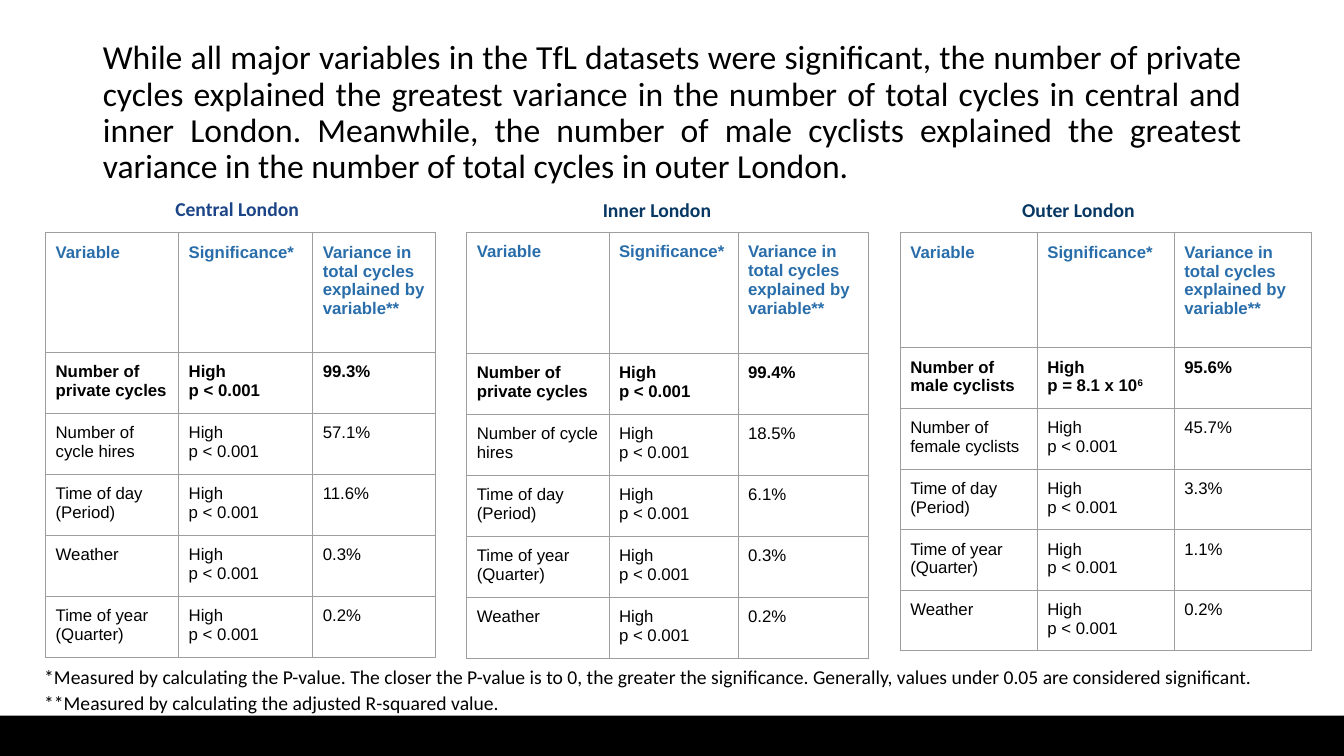
from lxml.etree import SubElement
from pptx import Presentation
from pptx.dml.color import RGBColor
from pptx.enum.shapes import MSO_SHAPE
from pptx.enum.text import MSO_ANCHOR, MSO_AUTO_SIZE, PP_ALIGN
from pptx.oxml.ns import qn
from pptx.util import Inches, Pt

W, H = Inches(13.33), Inches(7.5)
PAD = Inches(0.1)
HEADER = ("Variable", "Significance*",
          "Variance in total cycles explained by variable**")
LOW_P = "p < 0.001"
TIME_OF_DAY, TIME_OF_YEAR = "Time of day (Period)", "Time of year (Quarter)"

# Lengths are percentages of the slide's width and height.
# "rows" holds the heights of the header, the body rows and the last row.
REGIONS = [
    {"name": "Central London", "color": "1C4587", "label": (12.3, 24.67),
     "at": (3.39, 30.8), "cols": (9.9, 9.98, 9.15), "rows": (15.8, 8.07, 8.07),
     "data": [("Number of private cycles", LOW_P, "99.3%"),
              ("Number of cycle hires", LOW_P, "57.1%"),
              (TIME_OF_DAY, LOW_P, "11.6%"),
              ("Weather", LOW_P, "0.3%"),
              (TIME_OF_YEAR, LOW_P, "0.2%")]},
    {"name": "Inner London", "color": "073763", "label": (44.11, 24.8),
     "at": (34.73, 30.72), "cols": (10.58, 9.6, 9.68), "rows": (16.05, 8.07, 8.07),
     "data": [("Number of private cycles", LOW_P, "99.4%"),
              ("Number of cycle hires", LOW_P, "18.5%"),
              (TIME_OF_DAY, LOW_P, "6.1%"),
              (TIME_OF_YEAR, LOW_P, "0.3%"),
              ("Weather", LOW_P, "0.2%")]},
    {"name": "Outer London", "color": "073763", "label": (75.32, 24.8),
     "at": (66.98, 30.8), "cols": (10.2, 10.2, 10.2), "rows": (15.2, 8.03, 7.73),
     "data": [("Number of male cyclists", "p = 8.1 x 10^6", "95.6%"),
              ("Number of female cyclists", LOW_P, "45.7%"),
              (TIME_OF_DAY, LOW_P, "3.3%"),
              (TIME_OF_YEAR, LOW_P, "1.1%"),
              ("Weather", LOW_P, "0.2%")]},
]


def across(share):
    return round(W * share / 100)


def down(share):
    return round(H * share / 100)


def box(x, y, w, h):
    return across(x), down(y), across(w), down(h)


def rgb(hex_color):
    return RGBColor.from_string(hex_color)


def set_font(p, name, size, color="000000", bold=False):
    p.font.name, p.font.size, p.font.bold = name, Pt(size), bold
    p.font.color.rgb = rgb(color)


def set_margins(target):
    target.margin_left = target.margin_right = PAD
    target.margin_top = target.margin_bottom = PAD


def add_title(slide, text):
    title = slide.shapes.title
    title.left, title.top, title.width, title.height = box(6.9, 5.33, 86.25, 19.33)
    tf = title.text_frame
    tf.word_wrap, tf.auto_size = True, MSO_AUTO_SIZE.NONE
    tf.vertical_anchor = MSO_ANCHOR.MIDDLE
    p = tf.paragraphs[0]
    p.text, p.alignment, p.line_spacing = text, PP_ALIGN.JUSTIFY, 0.9
    set_font(p, "Calibri", 24)


def add_text(slide, text, x, y, w, color="000000", bold=False):
    tf = slide.shapes.add_textbox(*box(x, y, w, 5.87)).text_frame
    tf.word_wrap, tf.auto_size = True, MSO_AUTO_SIZE.SHAPE_TO_FIT_TEXT
    set_margins(tf)
    p = tf.paragraphs[0]
    p.text = text
    set_font(p, "Calibri", 14, color, bold)


def add_borders(cell):
    tcPr = cell._tc.get_or_add_tcPr()
    for side in ("lnL", "lnR", "lnT", "lnB"):
        ln = SubElement(tcPr, qn(f"a:{side}"), w=str(Pt(0.75)))
        fill = SubElement(ln, qn("a:solidFill"))
        SubElement(fill, qn("a:srgbClr"), val="9E9E9E")


def fill_cell(cell, lines, color, bold):
    """Write one paragraph per line; text after ^ is superscript."""
    add_borders(cell)
    cell.fill.background()
    set_margins(cell)
    tf = cell.text_frame
    for i, line in enumerate(lines):
        p = tf.add_paragraph() if i else tf.paragraphs[0]
        set_font(p, "Arial", 12, color, bold)
        base, _, power = line.partition("^")
        p.add_run().text = base
        if power:
            r = p.add_run()
            r.text = power
            r._r.get_or_add_rPr().set("baseline", "30000")


def add_region(slide, region):
    add_text(slide, region["name"], *region["label"], 13.5, region["color"], True)

    header, body, last = region["rows"]
    heights = [header] + [body] * (len(region["data"]) - 1) + [last]
    size = sum(region["cols"]), sum(heights)
    table = slide.shapes.add_table(len(heights), len(HEADER),
                                   *box(*region["at"], *size)).table
    table.first_row = table.horz_banding = False
    for col, width in zip(table.columns, region["cols"]):
        col.width = across(width)
    for row, height in zip(table.rows, heights):
        row.height = down(height)

    for c, text in enumerate(HEADER):
        fill_cell(table.cell(0, c), [text], "296EAA", True)
    for r, (variable, p_value, variance) in enumerate(region["data"], 1):
        for c, lines in enumerate(([variable], ["High", p_value], [variance])):
            fill_cell(table.cell(r, c), lines, "000000", r == 1)


def add_band(slide):
    sp = slide.shapes.add_shape(MSO_SHAPE.RECTANGLE, *box(0, 94.67, 100, 5.33))
    sp.shadow.inherit = False
    sp.fill.solid()
    sp.fill.fore_color.rgb = rgb("000000")
    sp.line.fill.background()


def main():
    prs = Presentation()
    prs.slide_width, prs.slide_height = W, H
    slide = prs.slides.add_slide(prs.slide_layouts[5])

    # Headline
    add_title(slide, "While all major variables in the TfL datasets were "
              "significant, the number of private cycles explained the greatest "
              "variance in the number of total cycles in central and inner London. "
              "Meanwhile, the number of male cyclists explained the greatest "
              "variance in the number of total cycles in outer London.")

    # One labelled table per region
    for region in REGIONS:
        add_region(slide, region)

    # Footnotes and bottom band
    add_text(slide, "*Measured by calculating the P-value. The closer the P-value "
             "is to 0, the greater the significance. Generally, values under 0.05 "
             "are considered significant.", 2.55, 86.67, 92.72)
    add_text(slide, "**Measured by calculating the adjusted R-squared value.",
             2.55, 90, 92.72)
    add_band(slide)

    prs.save("out.pptx")


if __name__ == "__main__":
    main()
